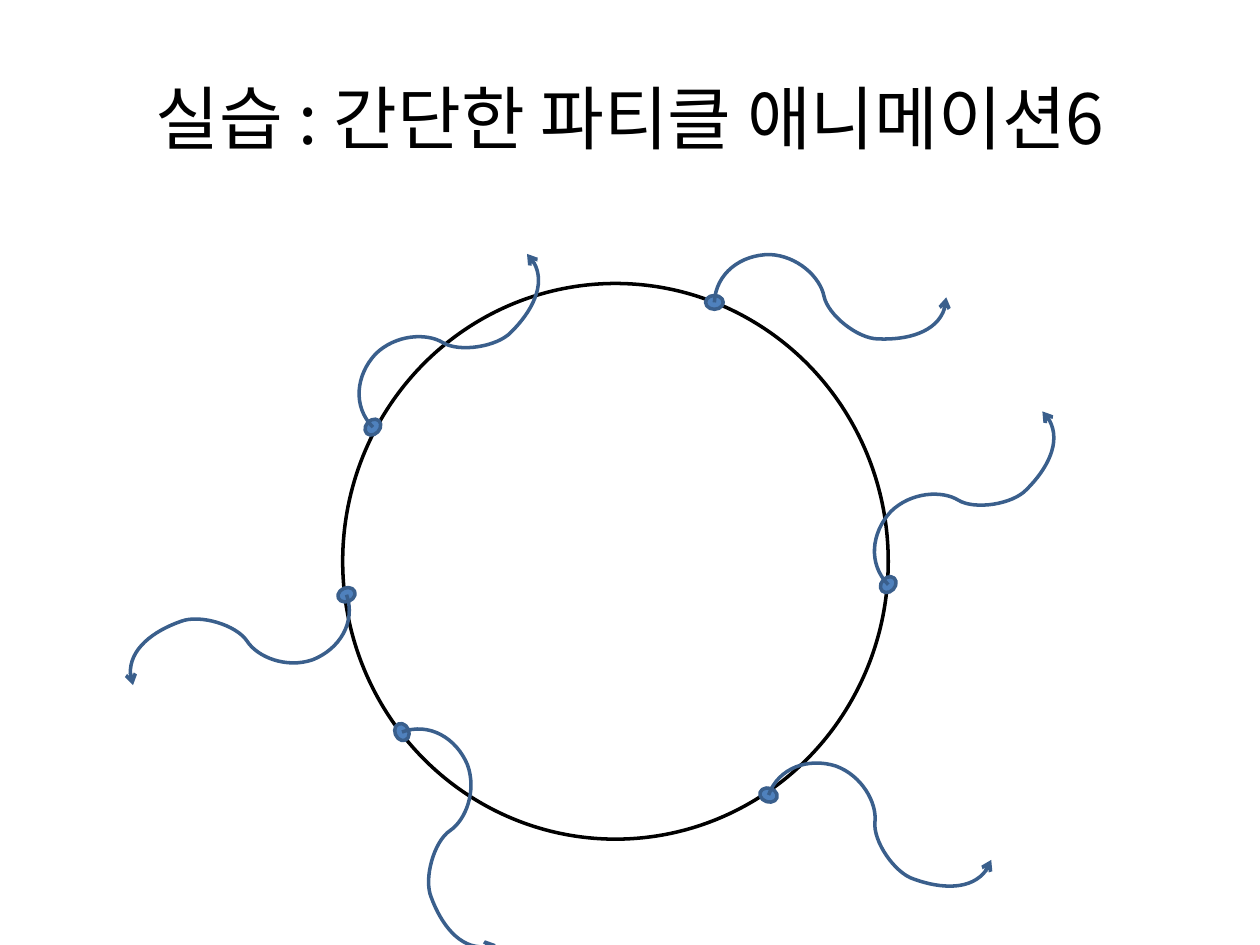
from math import cos, radians, sin

from lxml.etree import SubElement
from pptx import Presentation
from pptx.dml.color import RGBColor
from pptx.enum.shapes import MSO_SHAPE as SHAPE
from pptx.enum.text import MSO_ANCHOR, PP_ALIGN
from pptx.oxml.ns import qn
from pptx.util import Inches, Pt

FONT = "Noto Sans CJK KR"
BLACK = RGBColor(0x00, 0x00, 0x00)
WHITE = RGBColor(0xFF, 0xFF, 0xFF)
BLUE = RGBColor(0x4F, 0x81, 0xBD)
DARK_BLUE = RGBColor(0x3A, 0x5F, 0x8C)

DOT_W, DOT_H = 0.14, 0.11
# Wave from the dot centre: the start, then three points per Bezier curve
WAVE = [
    (0, 0),
    (0.01, -0.23), (0.21, -0.38), (0.44, -0.38),
    (0.66, -0.37), (0.84, -0.2), (0.87, -0.05),
    (0.9, 0.1), (1.14, 0.29), (1.3, 0.29),
    (1.53, 0.3), (1.84, 0.22), (1.84, -0.04),
]
WAVE_MID = (0.92, -0.04)
# Dot centre x, y and rotation
PARTICLES = [
    (2.96, 3.39, 312.9),
    (2.75, 4.72, 158.3),
    (3.19, 5.81, 67.4),
    (6.1, 6.31, 17.5),
    (5.67, 2.4, 0),
    (7.05, 4.64, 312.9),
]


def style(sp, line, fill=None):
    """Set the outline and the fill, without a shadow."""
    sp.shadow.inherit = False
    sp.line.color.rgb = line
    sp.line.width = Pt(2)
    if fill is None:
        sp.fill.background()
    else:
        sp.fill.solid()
        sp.fill.fore_color.rgb = fill


def add_ellipse(shapes, x, y, w, h, line, fill):
    """Add an ellipse in the given box."""
    sp = shapes.add_shape(SHAPE.OVAL, Inches(x), Inches(y), Inches(w), Inches(h))
    style(sp, line, fill)
    return sp


def curve_segments(sp):
    """Turn each three line segments of a freeform into one Bezier curve."""
    path = next(sp._element.iter(qn("a:path")))
    lines = path.findall(qn("a:lnTo"))
    for i in range(0, len(lines), 3):
        curve = SubElement(path, qn("a:cubicBezTo"))
        for ln in lines[i:i + 3]:
            curve.append(ln[0])
            path.remove(ln)


def add_wave(shapes, x, y, angle):
    """Add the wavy arrow that starts at x, y, turned by angle."""
    a = radians(angle)
    mx, my = WAVE_MID
    left = x + mx * cos(a) - my * sin(a) - mx
    top = y + mx * sin(a) + my * cos(a) - my
    points = [(Inches(px), Inches(py)) for px, py in WAVE]
    builder = shapes.build_freeform(*points[0])
    builder.add_line_segments(points[1:], close=False)
    sp = builder.convert_to_shape(Inches(left), Inches(top))
    curve_segments(sp)
    style(sp, DARK_BLUE)
    sp.rotation = angle
    SubElement(sp.line._get_or_add_ln(), qn("a:tailEnd"), type="arrow")


def add_particle(s, x, y, angle):
    """Group a dot centred on x, y with its wavy path."""
    shapes = s.shapes.add_group_shape().shapes
    dot = add_ellipse(shapes, x - DOT_W / 2, y - DOT_H / 2, DOT_W, DOT_H,
                      DARK_BLUE, BLUE)
    dot.rotation = angle
    add_wave(shapes, x, y, angle)


def add_title(s, x, y, w, h):
    """Fill the title placeholder in the given box."""
    title = s.shapes.title
    title.left, title.top = Inches(x), Inches(y)
    title.width, title.height = Inches(w), Inches(h)
    tf = title.text_frame
    tf.text = "실습 : 간단한 파티클 애니메이션6"
    tf.vertical_anchor = MSO_ANCHOR.MIDDLE
    p = tf.paragraphs[0]
    p.alignment = PP_ALIGN.CENTER
    font = p.runs[0].font
    font.size = Pt(39.6)
    font.name = FONT
    font.color.rgb = BLACK
    SubElement(p.runs[0]._r.get_or_add_rPr(), qn("a:ea"), typeface=FONT)


def build_slide(prs):
    """Build the particle animation slide."""
    s = prs.slides.add_slide(prs.slide_layouts[5])
    add_title(s, 0.5, 0.3, 9, 1.25)
    add_ellipse(s.shapes, 2.72, 2.25, 4.33, 4.41, BLACK, WHITE)
    for x, y, angle in PARTICLES:
        add_particle(s, x, y, angle)


prs = Presentation()
prs.slide_width, prs.slide_height = Inches(10), Inches(7.5)
build_slide(prs)
prs.save("out.pptx")
